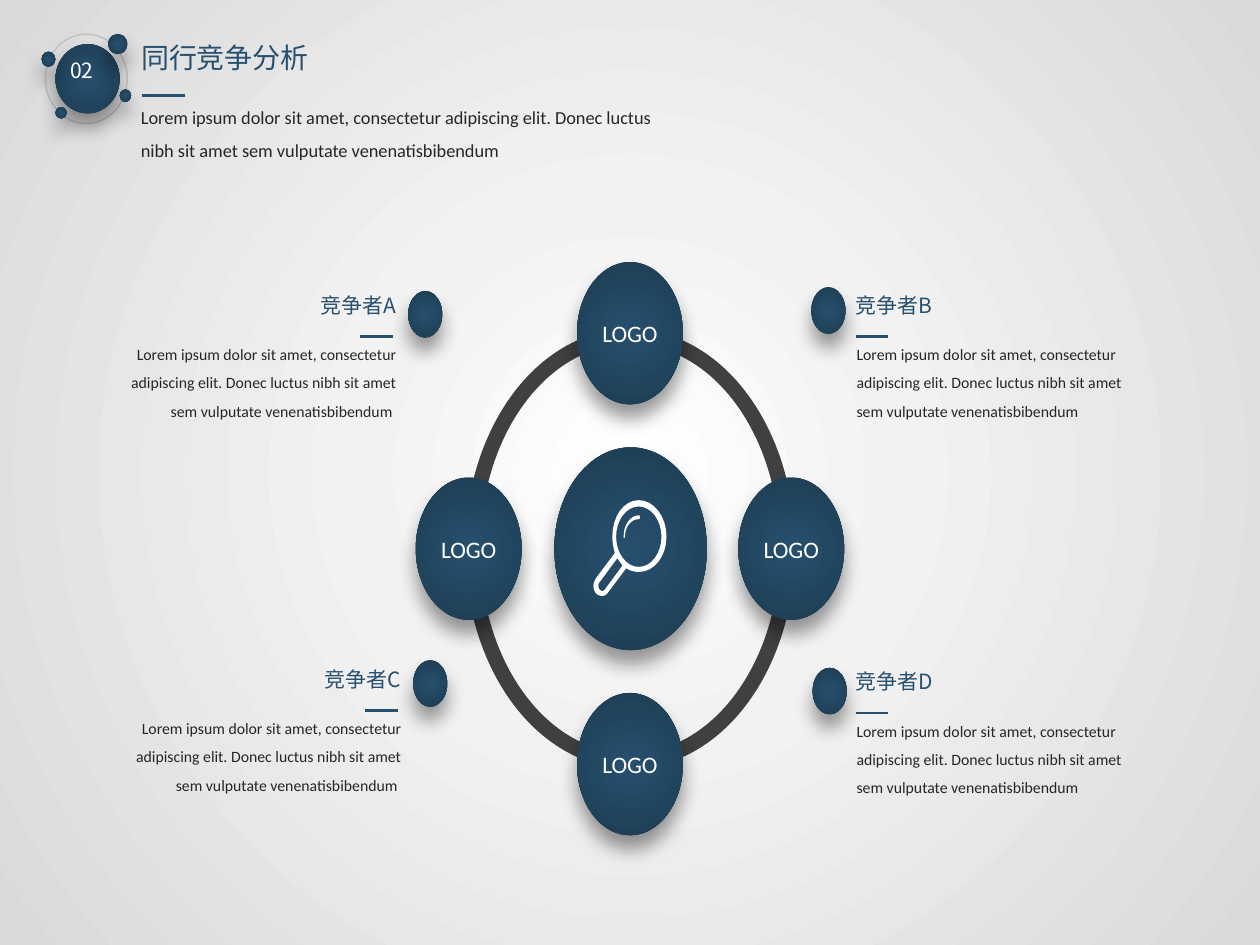
from math import cos, radians, sin

from lxml.etree import SubElement
from pptx import Presentation
from pptx.dml.color import RGBColor
from pptx.enum.shapes import MSO_CONNECTOR, MSO_SHAPE
from pptx.enum.text import MSO_ANCHOR, MSO_AUTO_SIZE, PP_ALIGN
from pptx.oxml.ns import qn
from pptx.util import Inches, Pt

NAVY = RGBColor(0x27, 0x50, 0x6E)
DEEP_NAVY = RGBColor(0x1D, 0x3C, 0x52)
INK = RGBColor(0x26, 0x26, 0x26)
CHARCOAL = RGBColor(0x40, 0x40, 0x40)
SILVER = RGBColor(0xBF, 0xBF, 0xBF)
MIST = RGBColor(0xD9, 0xD9, 0xD9)
PALE = RGBColor(0xF2, 0xF2, 0xF2)
WHITE = RGBColor(0xFF, 0xFF, 0xFF)
BLACK = RGBColor(0, 0, 0)

LATIN = "Calibri"
CJK = "Noto Sans CJK SC"
LOREM = ("Lorem ipsum dolor sit amet, consectetur adipiscing elit. "
         "Donec luctus nibh sit amet sem vulputate venenatisbibendum")

CENTRE_X, CENTRE_Y = 5, 4.35
ORBIT_X, ORBIT_Y = 1.28, 1.71

BADGE_BALLS = [
    (0.44, 0.35, 0.51, 0.55),
    (0.86, 0.27, 0.15, 0.16),
    (0.33, 0.41, 0.11, 0.12),
    (0.44, 0.85, 0.09, 0.09),
    (0.95, 0.71, 0.09, 0.1),
]
COMPETITORS = [
    ("竞争者A", 3.24, 2.27, 3.24, 2.31, True),
    ("竞争者B", 6.69, 2.27, 6.44, 2.28, False),
    ("竞争者C", 3.28, 5.24, 3.28, 5.24, True),
    ("竞争者D", 6.69, 5.26, 6.45, 5.3, False),
]
LENS_HOLE = [
    (5.07, 4.5), (4.97, 4.5, 4.89, 4.39, 4.89, 4.26),
    (4.89, 4.13, 4.97, 4.02, 5.07, 4.02), (5.17, 4.02, 5.25, 4.13, 5.25, 4.26),
    (5.25, 4.39, 5.17, 4.5, 5.07, 4.5),
]
HANDLE_HOLE = [
    (4.8, 4.68), (4.79, 4.69, 4.79, 4.69, 4.78, 4.69),
    (4.76, 4.69, 4.75, 4.67, 4.75, 4.65), (4.75, 4.64, 4.75, 4.63, 4.76, 4.62),
    (4.9, 4.43), (4.91, 4.45, 4.93, 4.47, 4.94, 4.49),
]
GLASS_OUTLINE = [
    (5.07, 3.97), (4.95, 3.97, 4.86, 4.1, 4.86, 4.26),
    (4.86, 4.31, 4.87, 4.35, 4.88, 4.39), (4.73, 4.59),
    (4.72, 4.61, 4.71, 4.63, 4.71, 4.65), (4.71, 4.7, 4.74, 4.73, 4.78, 4.73),
    (4.8, 4.73, 4.81, 4.72, 4.82, 4.71), (4.97, 4.51),
    (5, 4.53, 5.04, 4.54, 5.07, 4.54), (5.19, 4.54, 5.29, 4.42, 5.29, 4.26),
    (5.29, 4.1, 5.19, 3.97, 5.07, 3.97),
]
GLINT = [
    (5.07, 4.09), (5, 4.09, 4.95, 4.17, 4.95, 4.26), (4.95, 4.27),
    (4.96, 4.27, 4.96, 4.26, 4.96, 4.26), (4.96, 4.18, 5.01, 4.12, 5.07, 4.12),
    (5.08, 4.12, 5.08, 4.11, 5.08, 4.1), (5.08, 4.1, 5.08, 4.09, 5.07, 4.09),
]


def radial_fill(owner, stops):
    solid = owner.find(qn("a:solidFill"))
    grad = owner.makeelement(qn("a:gradFill"), {"rotWithShape": "1"})
    stop_list = SubElement(grad, qn("a:gsLst"))
    for percent, colour in stops:
        stop = SubElement(stop_list, qn("a:gs"), pos=str(percent * 1000))
        SubElement(stop, qn("a:srgbClr"), val=str(colour))
    circle = SubElement(grad, qn("a:path"), {"path": "circle"})
    SubElement(circle, qn("a:fillToRect"), dict.fromkeys("ltrb", "50000"))
    owner.replace(solid, grad)


def paint_background(slide):
    slide.background.fill.solid()
    backdrop = slide.element.find(".//" + qn("p:bgPr"))
    radial_fill(backdrop, [(0, WHITE), (35, PALE), (100, MIST)])


def add_flat(slide, kind, left, top, width, height, colour):
    shape = slide.shapes.add_shape(
        kind, Inches(left), Inches(top), Inches(width), Inches(height))
    shape.shadow.inherit = False
    shape.fill.solid()
    shape.fill.fore_color.rgb = colour
    shape.line.fill.background()
    return shape


def add_ball(slide, left, top, width, height):
    ball = add_flat(slide, MSO_SHAPE.OVAL, left, top, width, height, NAVY)
    properties = ball.element.spPr
    radial_fill(properties, [(0, NAVY), (100, DEEP_NAVY)])
    shadow = SubElement(
        properties.find(qn("a:effectLst")), qn("a:outerShdw"),
        blurRad=str(Pt(11)), dist=str(Pt(8)), dir="5400000",
        algn="t", rotWithShape="0")
    tint = SubElement(shadow, qn("a:srgbClr"), val=str(BLACK))
    SubElement(tint, qn("a:alpha"), val="40000")
    return ball


def write(paragraph, words, size, colour, face, align=PP_ALIGN.LEFT):
    paragraph.alignment = align
    run = paragraph.add_run()
    run.text = words
    run.font.size = Pt(size)
    run.font.color.rgb = colour
    run.font.name = face
    SubElement(run.font._element, qn("a:ea"), typeface=face)


def add_text(slide, left, top, width, height, words, size, colour, face,
             align=PP_ALIGN.LEFT, spacing=None, wrap=True):
    box = slide.shapes.add_textbox(
        Inches(left), Inches(top), Inches(width), Inches(height))
    frame = box.text_frame
    frame.word_wrap = wrap
    frame.auto_size = MSO_AUTO_SIZE.SHAPE_TO_FIT_TEXT
    paragraph = frame.paragraphs[0]
    if spacing:
        paragraph.line_spacing = spacing
    write(paragraph, words, size, colour, face, align)


def add_rule(slide, left, top, width):
    rule = slide.shapes.add_connector(
        MSO_CONNECTOR.STRAIGHT, Inches(left), Inches(top),
        Inches(left + width), Inches(top))
    rule.line.color.rgb = NAVY
    rule.line.width = Pt(1.5)
    SubElement(rule.element.spPr, qn("a:effectLst"))


def trace(contour, steps=8):
    points = [contour[0]]
    for segment in contour[1:]:
        if len(segment) == 2:
            points.append(segment)
            continue
        controls = [points[-1], segment[:2], segment[2:4], segment[4:]]
        for step in range(1, steps + 1):
            t = step / steps
            weights = ((1 - t) ** 3, 3 * t * (1 - t) ** 2,
                       3 * t * t * (1 - t), t ** 3)
            points.append(tuple(
                sum(w * p[axis] for w, p in zip(weights, controls))
                for axis in (0, 1)))
    return [(Inches(x), Inches(y)) for x, y in points]


def add_outline(slide, contours):
    traced = [trace(contour) for contour in contours]
    builder = slide.shapes.build_freeform(*traced[0][0])
    for index, points in enumerate(traced):
        if index:
            builder.move_to(*points[0])
        builder.add_line_segments(points[1:], close=True)
    outline = builder.convert_to_shape()
    outline.shadow.inherit = False
    outline.fill.solid()
    outline.fill.fore_color.rgb = WHITE
    outline.line.fill.background()


def add_header(slide):
    halo = add_flat(slide, MSO_SHAPE.OVAL, 0.36, 0.27, 0.65, 0.71, WHITE)
    halo.fill.background()
    halo.line.color.rgb = SILVER
    halo.line.width = Pt(0.75)
    for ball in BADGE_BALLS:
        add_ball(slide, *ball)
    title = slide.shapes.title
    title.left, title.top = Inches(1.02), Inches(0.27)
    title.width, title.height = Inches(1.55), Inches(0.37)
    title.text_frame.word_wrap = False
    title.text_frame.auto_size = MSO_AUTO_SIZE.SHAPE_TO_FIT_TEXT
    title.text_frame.vertical_anchor = MSO_ANCHOR.TOP
    write(title.text_frame.paragraphs[0], "同行竞争分析", 16, NAVY, CJK)
    add_text(slide, 1.02, 0.71, 4.47, 0.63, LOREM, 10.5, INK, LATIN, spacing=1.5)
    add_rule(slide, 1.13, 0.76, 0.34)
    add_text(slide, 0.46, 0.41, 0.42, 0.3, "02", 12, WHITE, CJK, wrap=False)


def add_orbit(slide):
    for start, end in ((108, 162), (54, 108), (0, 54), (162, 0)):
        arc = add_flat(slide, MSO_SHAPE.BLOCK_ARC, 3.69, 2.61, 2.62, 3.49, CHARCOAL)
        for index, value in enumerate((start, end, 0.046)):
            arc.adjustments[index] = value
    add_ball(slide, 4.4, 3.55, 1.21, 1.61)
    for angle in (-90, 0, 90, 180):
        left = CENTRE_X + ORBIT_X * cos(radians(angle)) - 0.42
        top = CENTRE_Y + ORBIT_Y * sin(radians(angle)) - 0.56
        frame = add_ball(slide, left, top, 0.84, 1.13).text_frame
        frame.margin_left = frame.margin_right = 0
        frame.vertical_anchor = MSO_ANCHOR.MIDDLE
        write(frame.paragraphs[0], "LOGO", 13.5, WHITE, LATIN, PP_ALIGN.CENTER)
    add_outline(slide, [LENS_HOLE, HANDLE_HOLE, GLASS_OUTLINE])
    add_outline(slide, [GLINT])


def add_competitor(slide, heading, edge, top, dot_left, dot_top, on_left):
    align = PP_ALIGN.RIGHT if on_left else PP_ALIGN.LEFT
    body_left = edge - 2.44 if on_left else edge + 0.01
    heading_left = edge - 1.9 if on_left else edge
    rule_left = edge - 0.38 if on_left else edge + 0.1
    body = LOREM + " " if on_left else LOREM
    add_text(slide, body_left, top + 0.34, 2.44, 0.78, body, 9, INK, LATIN,
             align, spacing=1.5)
    add_text(slide, heading_left, top, 1.9, 0.3, heading, 12, NAVY, CJK, align)
    add_rule(slide, rule_left, top + 0.4, 0.26)
    add_ball(slide, dot_left, dot_top, 0.27, 0.37)


def main():
    deck = Presentation()
    deck.slide_width, deck.slide_height = Inches(10), Inches(7.5)
    slide = deck.slides.add_slide(deck.slide_layouts[5])
    paint_background(slide)
    add_header(slide)
    add_orbit(slide)
    for competitor in COMPETITORS:
        add_competitor(slide, *competitor)
    deck.save("out.pptx")


if __name__ == "__main__":
    main()
